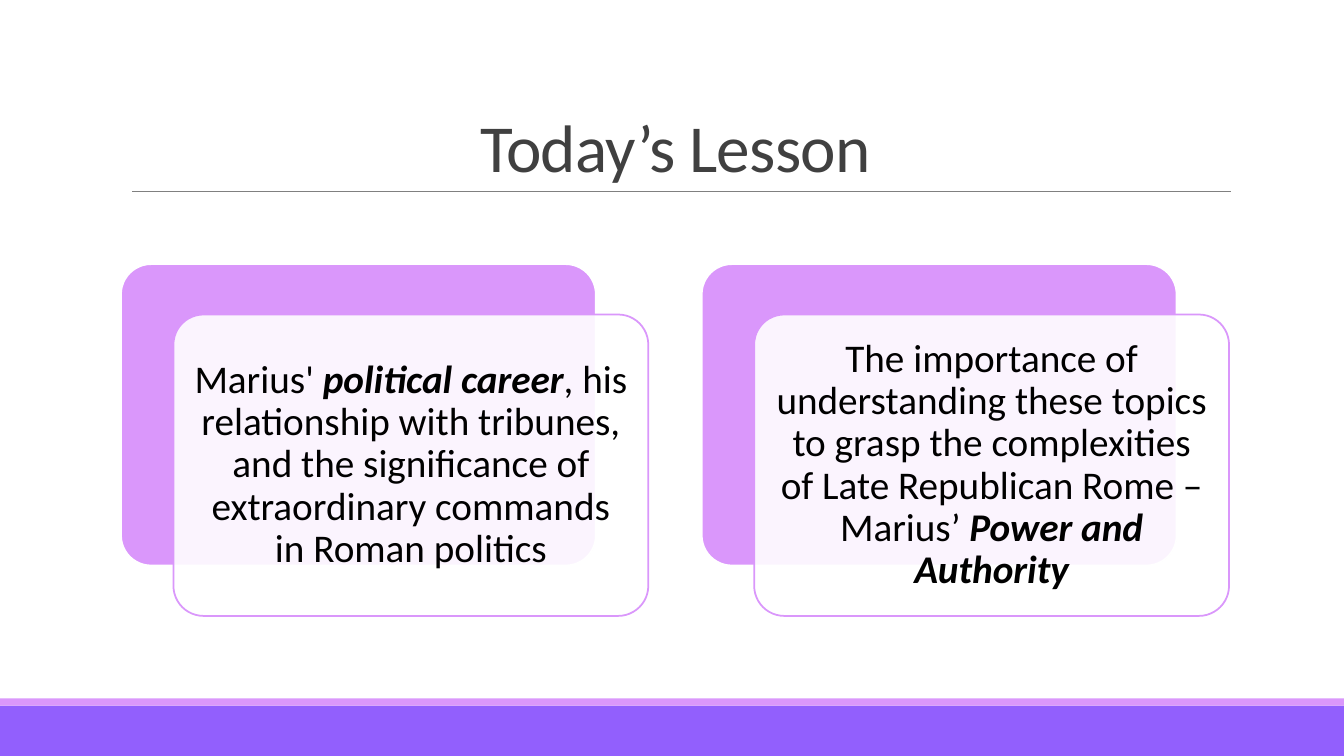
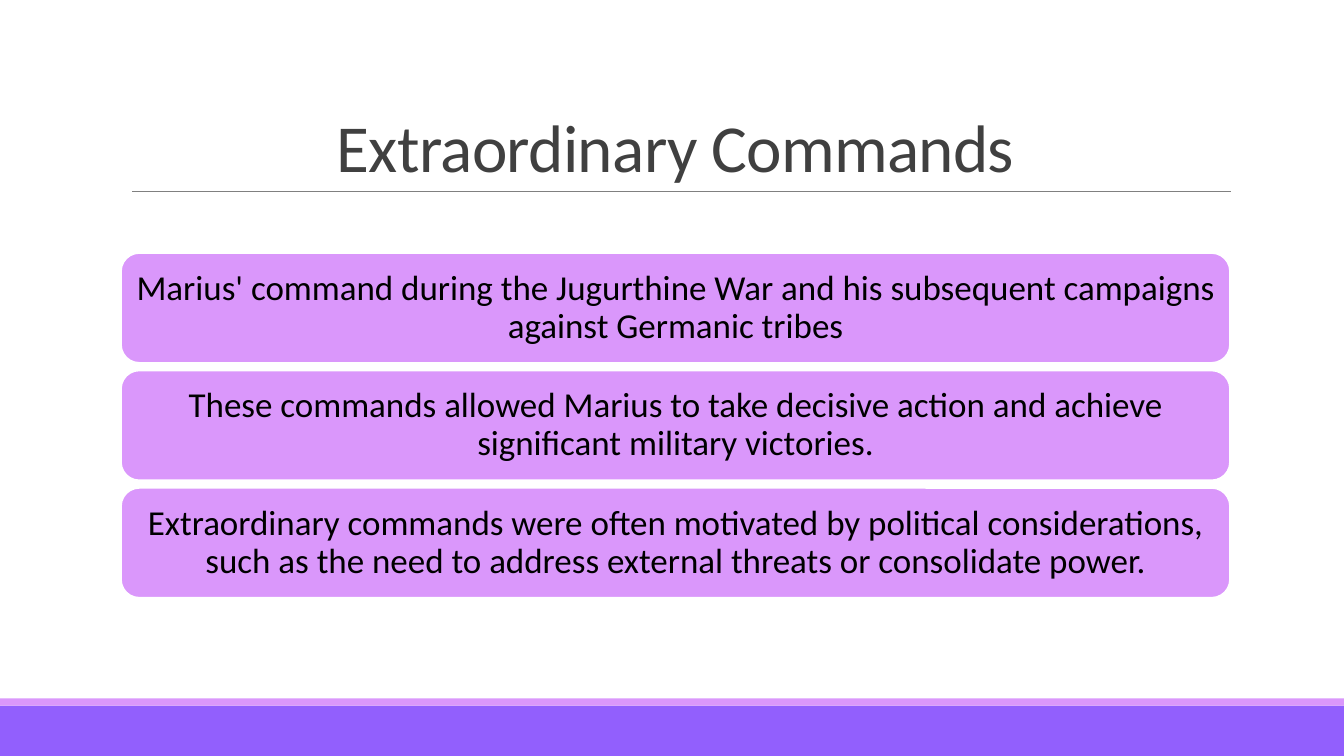
from lxml import etree
from pptx import Presentation
from pptx.dml.color import RGBColor
from pptx.enum.shapes import MSO_CONNECTOR, MSO_SHAPE
from pptx.enum.text import MSO_ANCHOR, MSO_AUTO_SIZE, PP_ALIGN
from pptx.oxml.ns import qn
from pptx.util import Inches, Pt

COLORS = {
    "violet": "925FFD",
    "lilac": "DA97FB",
    "white": "FFFFFF",
    "rule": "808080",
    "title": "404040",
    "text": "000000",
}
FONT = "Calibri"
SLIDE_WIDTH, SLIDE_HEIGHT = 13.33, 7.5
CONTENT_LEFT, CONTENT_WIDTH = 1.2, 11
TITLE_ONLY_LAYOUT = 5

LESSON_TOPICS = [
    [
        ("Marius' ", False),
        ("political career", True),
        (", his relationship with tribunes, and the significance of "
         "extraordinary commands in Roman politics", False),
    ],
    [
        ("The importance of understanding these topics to grasp the "
         "complexities of Late Republican Rome – Marius’ ", False),
        ("Power and Authority", True),
    ],
]
COMMAND_POINTS = [
    "Marius' command during the Jugurthine War and his subsequent campaigns "
    "against Germanic tribes",
    "These commands allowed Marius to take decisive action and achieve "
    "significant military victories.",
    "Extraordinary commands were often motivated by political considerations, "
    "such as the need to address external threats or consolidate power.",
]


def rgb(name):
    return RGBColor.from_string(COLORS[name])


def style_paragraph(paragraph, size, color, line_spacing):
    paragraph.alignment = PP_ALIGN.CENTER
    paragraph.line_spacing = line_spacing
    paragraph.font.name = FONT
    paragraph.font.size = Pt(size)
    paragraph.font.color.rgb = rgb(color)


def add_box(slide, kind, left, top, width, height, fill, line=None):
    shape = slide.shapes.add_shape(
        kind, Inches(left), Inches(top), Inches(width), Inches(height))
    shape.shadow.inherit = False
    shape.fill.solid()
    shape.fill.fore_color.rgb = rgb(fill)
    if line:
        shape.line.color.rgb = rgb(line)
        shape.line.width = Pt(1.25)
    else:
        shape.line.fill.background()
    return shape


def set_opacity(shape, percent):
    color = shape.fill._xPr.find(qn("a:solidFill"))[0]
    etree.SubElement(color, qn("a:alpha")).set("val", str(percent * 1000))


def write_text(shape, runs, size, margin):
    """Fill a shape with centred text; runs are (text, emphasized) pairs."""
    frame = shape.text_frame
    frame.word_wrap = True
    frame.vertical_anchor = MSO_ANCHOR.MIDDLE
    frame.margin_left = frame.margin_right = Inches(margin)
    frame.margin_top = frame.margin_bottom = Inches(margin)
    paragraph = frame.paragraphs[0]
    style_paragraph(paragraph, size, "text", 0.9)
    for text, emphasized in runs:
        run = paragraph.add_run()
        run.text = text
        if emphasized:
            run.font.bold = run.font.italic = True


def add_title_rule(slide):
    rule = slide.shapes.add_connector(
        MSO_CONNECTOR.STRAIGHT, Inches(1.31), Inches(1.9), Inches(12.21), Inches(1.9))
    rule.line.color.rgb = rgb("rule")
    rule.line.width = Pt(0.5)
    etree.SubElement(rule._element.spPr, qn("a:effectLst"))


def set_title(slide, text):
    title = slide.shapes.title
    title.left, title.top = Inches(CONTENT_LEFT), Inches(0.31)
    title.width, title.height = Inches(CONTENT_WIDTH), Inches(1.59)
    frame = title.text_frame
    frame.text = text
    frame.word_wrap = True
    frame.auto_size = MSO_AUTO_SIZE.NONE
    frame.vertical_anchor = MSO_ANCHOR.BOTTOM
    paragraph = frame.paragraphs[0]
    style_paragraph(paragraph, 48, "title", 0.85)
    paragraph.runs[0]._r.get_or_add_rPr().set("spc", "-50")


def add_titled_slide(presentation, title):
    """Add a slide with the shared footer bands, title and rule."""
    slide = presentation.slides.add_slide(
        presentation.slide_layouts[TITLE_ONLY_LAYOUT])
    add_box(slide, MSO_SHAPE.RECTANGLE, 0, 7, SLIDE_WIDTH, 0.5, "violet")
    add_box(slide, MSO_SHAPE.RECTANGLE, 0, 6.93, SLIDE_WIDTH, 0.07, "lilac")
    add_title_rule(slide)
    set_title(slide, title)
    return slide


def add_layered_card(slide, left, top, runs):
    """Add a lilac card with a translucent text card offset in front of it."""
    width, height = 4.71, 2.99
    back = add_box(slide, MSO_SHAPE.ROUNDED_RECTANGLE,
                   left, top, width, height, "lilac", "white")
    front = add_box(slide, MSO_SHAPE.ROUNDED_RECTANGLE,
                    left + 0.52, top + 0.5, width, height, "white", "lilac")
    for card in (back, front):
        card.adjustments[0] = 0.1
    set_opacity(front, 90)
    write_text(front, runs, 28, 0.12)


def add_bar(slide, top, text):
    bar = add_box(slide, MSO_SHAPE.ROUNDED_RECTANGLE,
                  CONTENT_LEFT, top, CONTENT_WIDTH, 1.09, "lilac", "white")
    write_text(bar, [(text, False)], 25, 0.1)


def main():
    presentation = Presentation()
    presentation.slide_width = Inches(SLIDE_WIDTH)
    presentation.slide_height = Inches(SLIDE_HEIGHT)

    lesson = add_titled_slide(presentation, "Today’s Lesson")
    for index, runs in enumerate(LESSON_TOPICS):
        add_layered_card(lesson, CONTENT_LEFT + index * 5.76, 2.62, runs)

    commands = add_titled_slide(presentation, "Extraordinary Commands")
    for index, text in enumerate(COMMAND_POINTS):
        add_bar(commands, 2.51 + index * 1.165, text)

    presentation.save("out.pptx")


if __name__ == "__main__":
    main()
